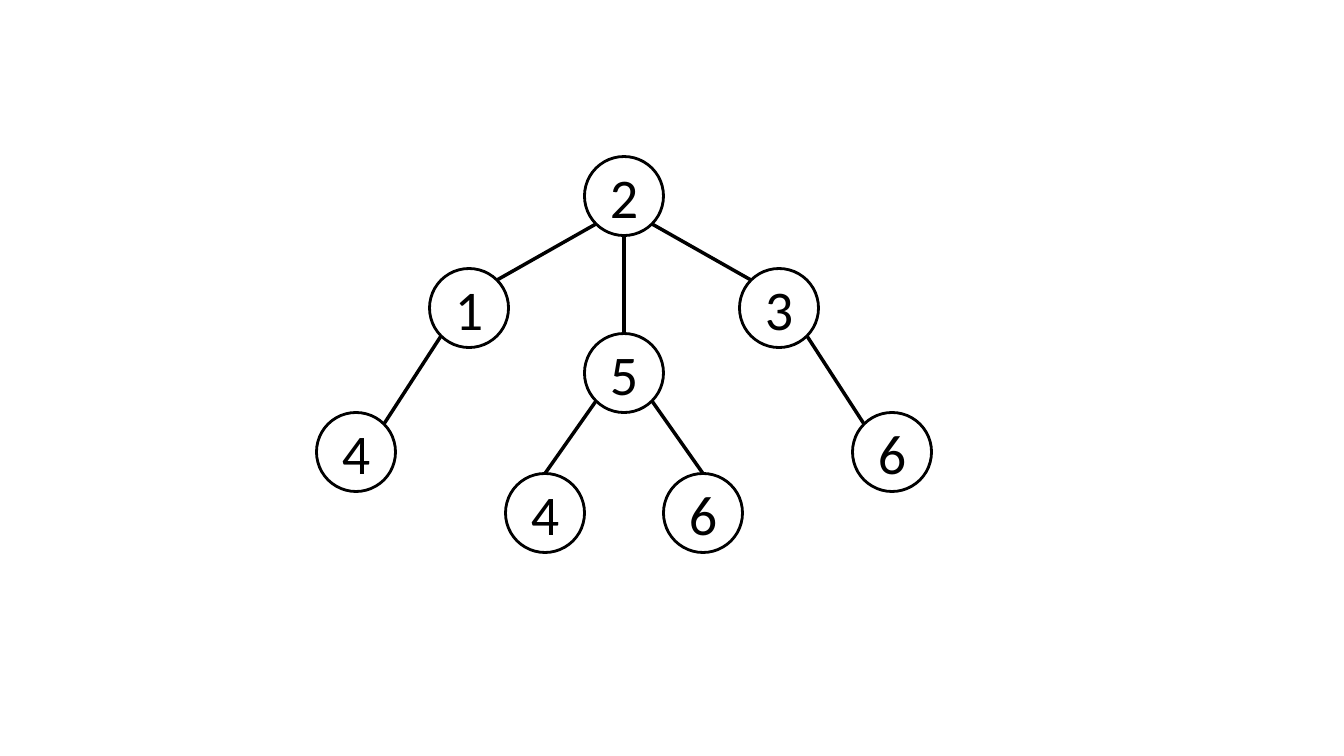
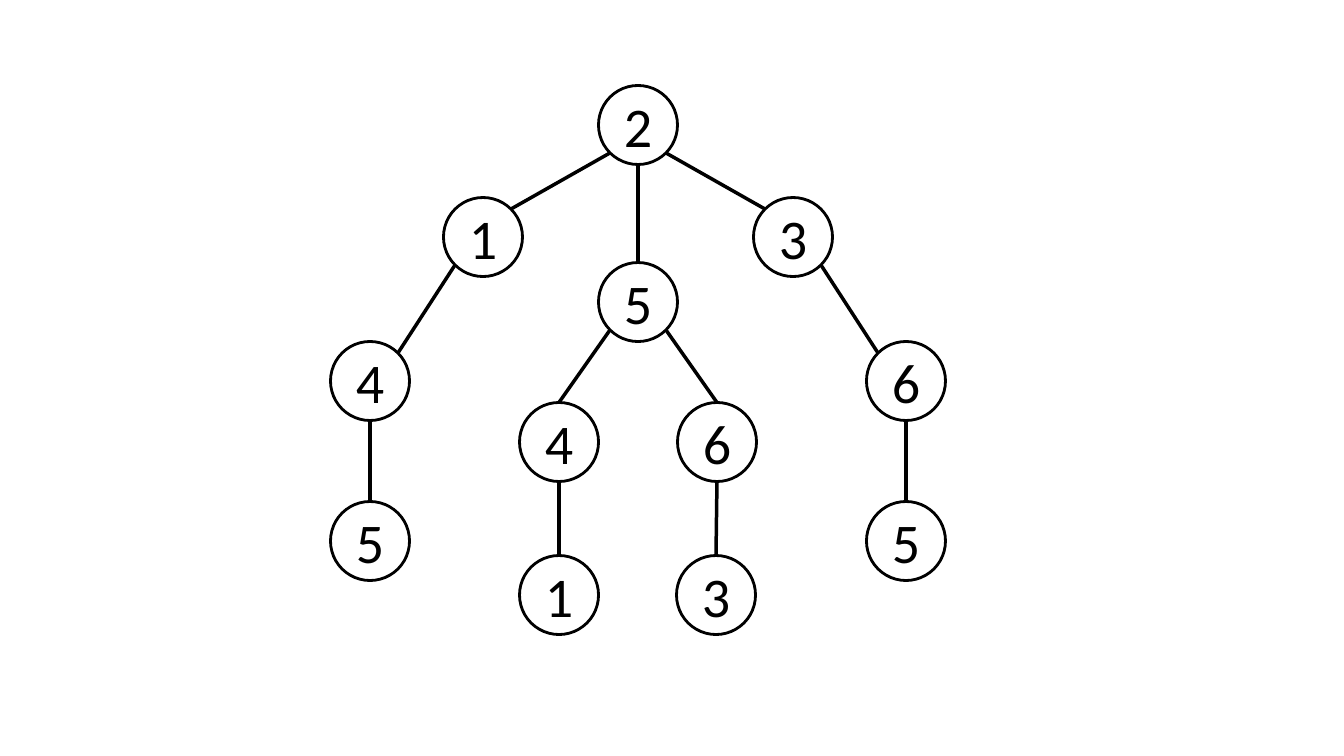
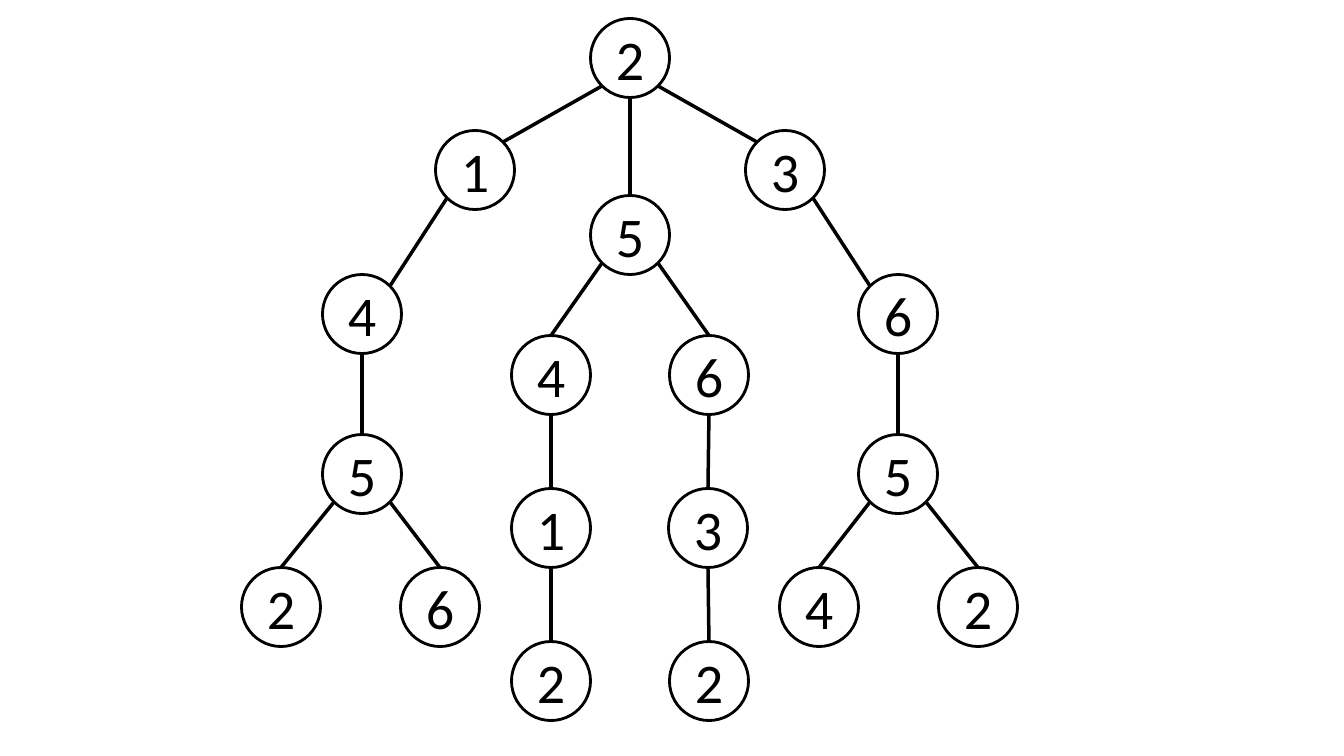
from math import sqrt
from lxml.etree import SubElement
from pptx import Presentation
from pptx.dml.color import RGBColor
from pptx.enum.shapes import MSO_CONNECTOR as CONNECTOR, MSO_SHAPE as SHAPE
from pptx.enum.text import MSO_ANCHOR as ANCHOR, PP_ALIGN as ALIGN
from pptx.oxml.ns import qn
from pptx.util import Emu, Pt

BLACK = RGBColor(0, 0, 0)
FONT = "Calibri"
DIAMETER = 79
RADIUS = DIAMETER / 2
DIAGONAL = RADIUS / sqrt(2)
SHOULDER_REACH = 100
UPRIGHT_DRIFT = 10

TOP, TOP_LEFT, BOTTOM_LEFT, BOTTOM, BOTTOM_RIGHT, TOP_RIGHT = 0, 1, 3, 4, 5, 7
SITES = {
    TOP: (0, -RADIUS),
    TOP_LEFT: (-DIAGONAL, -DIAGONAL),
    BOTTOM_LEFT: (-DIAGONAL, DIAGONAL),
    BOTTOM: (0, RADIUS),
    BOTTOM_RIGHT: (DIAGONAL, DIAGONAL),
    TOP_RIGHT: (DIAGONAL, -DIAGONAL),
}

WALKS = {
    "2": (0, 0),
    "21": (-155, 112),
    "25": (0, 177),
    "23": (155, 112),
    "214": (-268, 256),
    "254": (-79, 317),
    "256": (79, 317),
    "236": (268, 256),
    "2145": (-268, 416),
    "2541": (-79, 470),
    "2563": (78, 470),
    "2365": (268, 416),
    "21452": (-349, 549),
    "21456": (-190, 549),
    "25412": (-79, 623),
    "25632": (79, 623),
    "23654": (189, 549),
    "23652": (348, 549),
}


def px(length):
    return Emu(round(length * 914400 / 100.8))


def add_node(slide, center, label):
    x, y = center
    node = slide.shapes.add_shape(
        SHAPE.OVAL, px(x - RADIUS), px(y - RADIUS), px(DIAMETER), px(DIAMETER))
    node.shadow.inherit = False
    node.fill.background()
    node.line.color.rgb = BLACK
    node.line.width = Pt(2)
    frame = node.text_frame
    frame.text = label
    frame.vertical_anchor = ANCHOR.MIDDLE
    paragraph = frame.paragraphs[0]
    paragraph.alignment = ALIGN.CENTER
    font = paragraph.runs[0].font
    font.name, font.size, font.color.rgb = FONT, Pt(40), BLACK
    return node


def edge_sites(shift):
    if abs(shift) < UPRIGHT_DRIFT:
        return BOTTOM, TOP
    leaving, arriving = (BOTTOM_LEFT, TOP_RIGHT) if shift < 0 else (BOTTOM_RIGHT, TOP_LEFT)
    return leaving, arriving if abs(shift) > SHOULDER_REACH else TOP


def add_edge(slide, parent, child, parent_center, child_center):
    sites = edge_sites(child_center[0] - parent_center[0])
    ends = [px(middle + offset)
            for center, site in zip((parent_center, child_center), sites)
            for middle, offset in zip(center, SITES[site])]
    edge = slide.shapes.add_connector(CONNECTOR.STRAIGHT, *ends)
    edge.line.color.rgb = BLACK
    edge.line.width = Pt(2.5)
    SubElement(edge._element.spPr, qn("a:effectLst"))
    glue = edge._element.find(".//" + qn("p:cNvCxnSpPr"))
    for tag, node, site in zip(("a:stCxn", "a:endCxn"), (parent, child), sites):
        SubElement(glue, qn(tag), id=str(node.shape_id), idx=str(site))


def add_tree(slide, root_center, depth):
    root_x, root_y = root_center
    centers = {walk: (root_x + dx, root_y + dy)
               for walk, (dx, dy) in WALKS.items() if len(walk) <= depth}
    nodes = {walk: add_node(slide, center, walk[-1]) for walk, center in centers.items()}
    for walk in nodes:
        origin = walk[:-1]
        if origin:
            add_edge(slide, nodes[origin], nodes[walk], centers[origin], centers[walk])


deck = Presentation()
deck.slide_width, deck.slide_height = px(1344), px(756)
for root_center, depth in [((624, 196), 3), ((638, 125), 4), ((630, 58), 5)]:
    add_tree(deck.slides.add_slide(deck.slide_layouts[6]), root_center, depth)
deck.save("out.pptx")
